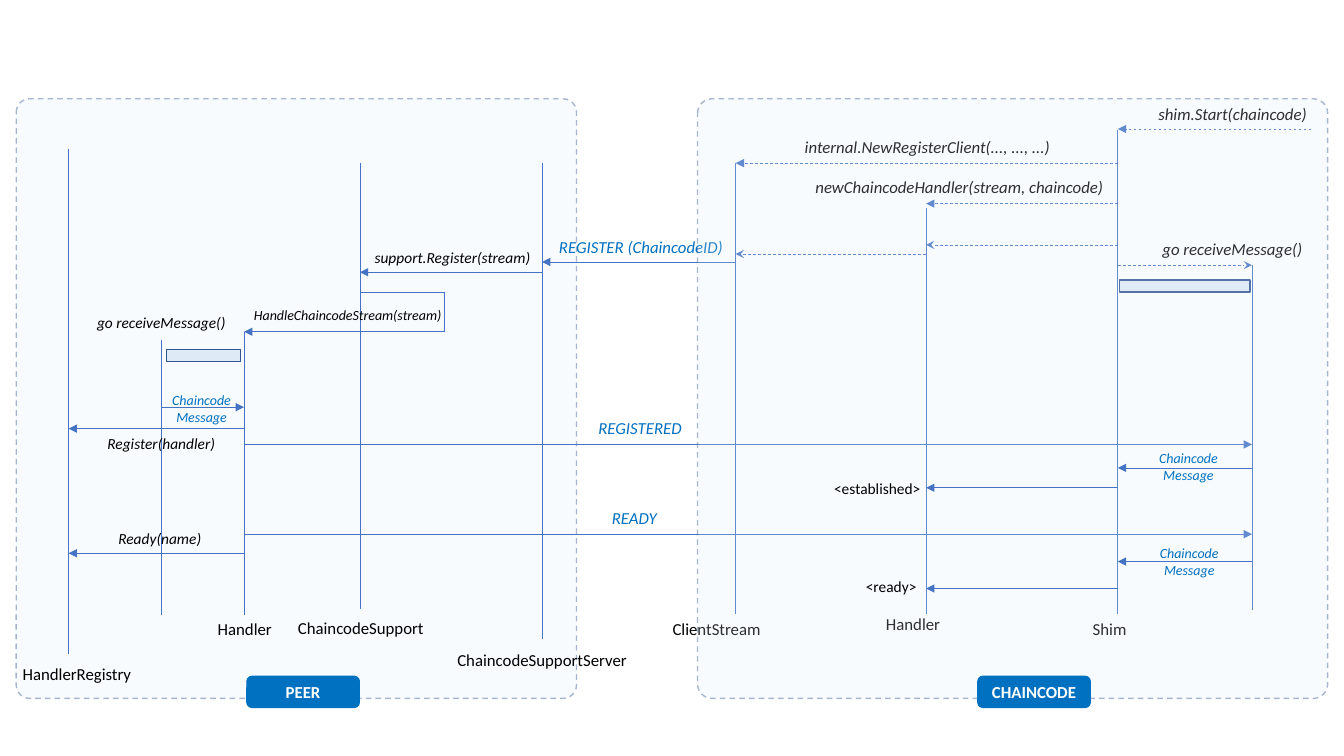
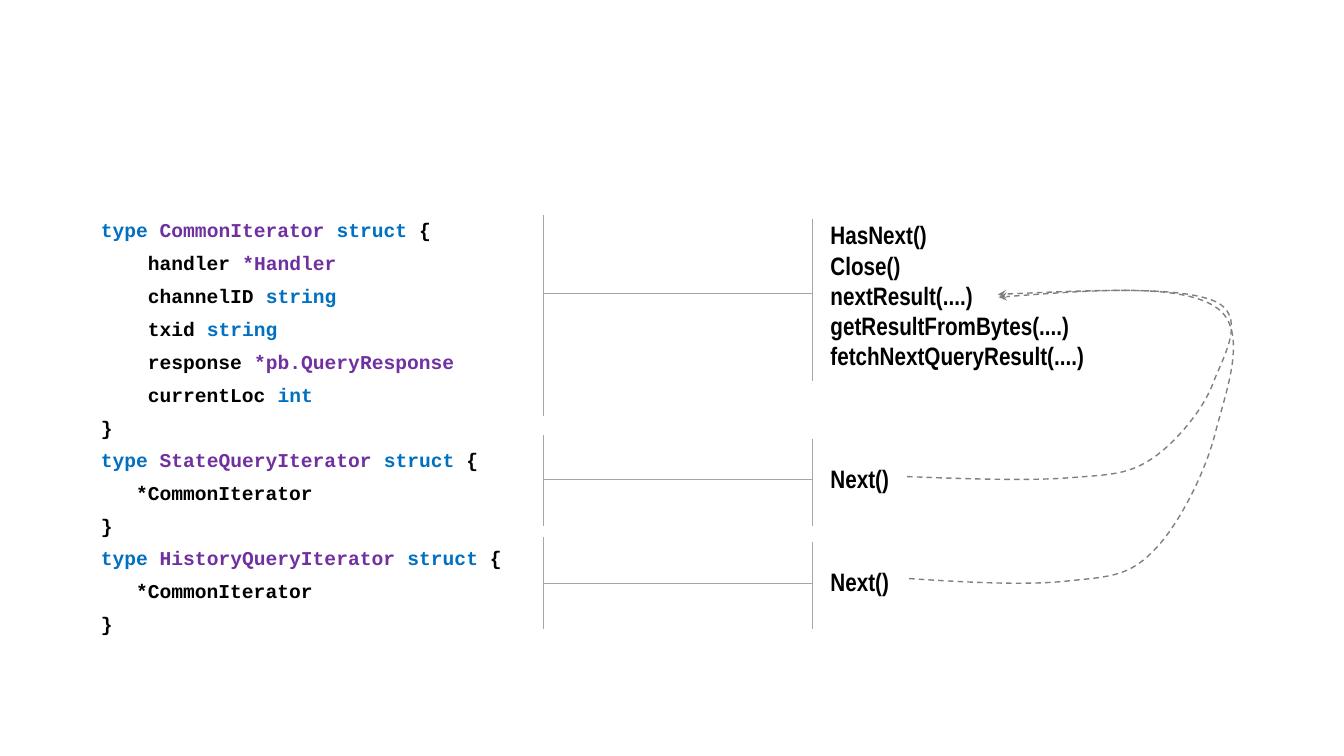
import dataclasses

import lxml.etree
import pptx
import pptx.dml.color
import pptx.enum.dml
import pptx.enum.shapes
import pptx.enum.text
import pptx.oxml.ns
import pptx.util

Cm = pptx.util.Cm
Pt = pptx.util.Pt
RGB = pptx.dml.color.RGBColor.from_string
qn = pptx.oxml.ns.qn
SHAPE = pptx.enum.shapes.MSO_SHAPE
CENTER = pptx.enum.text.PP_ALIGN.CENTER
LEFT = pptx.enum.text.PP_ALIGN.LEFT


@dataclasses.dataclass(frozen=True)
class Theme:
    black = RGB("000000")
    white = RGB("FFFFFF")
    blue = RGB("0070C0")
    purple = RGB("7030A0")
    message = RGB("4472C4")
    outline = RGB("325491")
    pale = RGB("DEEBF7")
    bracket = RGB("A6A6A6")
    curve = RGB("808080")
    font = "Calibri"
    code_font = "Courier New"
    method_font = "Arial Narrow"
    large = Pt(12)
    medium = Pt(11)
    small = Pt(10)
    code = Pt(14)
    method = Pt(18)
    hairline = Pt(0.5)
    border = Pt(1)


theme = Theme()


def style_line(shape, colour, width, arrow=None, dashed=False):
    """Set colour, weight, dash and arrowhead, and drop the shadow."""
    shape.line.color.rgb = colour
    shape.line.width = width
    if dashed:
        shape.line.dash_style = pptx.enum.dml.MSO_LINE.DASH
    properties = shape._element.spPr
    if arrow:
        lxml.etree.SubElement(properties.find(qn("a:ln")), qn("a:tailEnd"), type=arrow)
    if properties.find(qn("a:effectLst")) is None:
        lxml.etree.SubElement(properties, qn("a:effectLst"))


def add_label(slide, text, left, top, width, height, size, colour,
              italic=False, bold=False, font=theme.font, align=CENTER):
    """Add a text box that keeps its lines unwrapped."""
    box = slide.shapes.add_textbox(Cm(left), Cm(top), Cm(width), Cm(height))
    frame = box.text_frame
    frame.word_wrap = False
    frame.auto_size = pptx.enum.text.MSO_AUTO_SIZE.SHAPE_TO_FIT_TEXT
    frame.text = text
    for paragraph in frame.paragraphs:
        paragraph.alignment = align
        paragraph.font.name = font
        paragraph.font.size = size
        paragraph.font.color.rgb = colour
        paragraph.font.italic = italic
        paragraph.font.bold = bold


presentation = pptx.Presentation()
presentation.slide_width = Cm(33.87)
presentation.slide_height = Cm(19.05)
blank_layout = presentation.slide_layouts[6]

# Slide 1: sequence of messages between peer and chaincode
slide = presentation.slides.add_slide(blank_layout)

# Horizontal places of the lifelines
registry, peer_receiver, peer_handler = 1.73, 4.07, 6.15
support, server, stream = 9.07, 13.66, 18.54
chaincode_handler, shim, chaincode_receiver = 23.34, 28.17, 31.55
loop_right, loop_top, loop_bottom = 11.2, 7.37, 8.36

lifelines = [
    (registry, 3.76, 16.48), (peer_receiver, 8.56, 15.49),
    (peer_handler, loop_bottom, 15.49), (support, 4.11, 15.34),
    (server, 4.11, 16.1), (stream, 4.11, 15.47),
    (chaincode_handler, 5.23, 15.47), (shim, 3.28, 15.47),
    (chaincode_receiver, 6.68, 15.37), (loop_right, loop_top, loop_bottom),
]
# Messages: from, to, height, arrowhead, dashed
messages = [
    (33.05, shim, 3.25, "triangle", True),
    (shim, stream, 4.11, "triangle", True),
    (shim, chaincode_handler, 5.13, "triangle", True),
    (shim, chaincode_handler, 6.17, "stealth", True),
    (chaincode_handler, stream, 6.4, "stealth", True),
    (shim, chaincode_receiver, 6.68, "stealth", True),
    (stream, server, 6.6, "triangle", False),
    (server, support, 6.86, "triangle", False),
    (support, loop_right, loop_top, None, False),
    (loop_right, peer_handler, loop_bottom, "triangle", False),
    (peer_receiver, peer_handler, 10.26, "triangle", False),
    (peer_handler, registry, 10.8, "triangle", False),
    (peer_handler, chaincode_receiver, 11.2, "triangle", False),
    (peer_handler, chaincode_receiver, 13.46, "triangle", False),
    (peer_handler, registry, 13.94, "triangle", False),
]
front_messages = [
    (chaincode_receiver, shim, 11.79, "triangle", False),
    (shim, chaincode_handler, 12.29, "triangle", False),
    (chaincode_receiver, shim, 14.15, "triangle", False),
    (shim, chaincode_handler, 14.83, "triangle", False),
]
# Labels by style: size, colour, italic, then text, left, top, width
labels = [
    (theme.large, theme.black, False, [
        ("HandlerRegistry", 0.3, 16.59, 3.28),
        ("Handler", 5.23, 15.47, 1.88),
        ("ChaincodeSupport", 7.24, 15.44, 3.71),
        ("ChaincodeSupportServer", 11.25, 16.26, 4.83),
        ("ClientStream", 16.69, 15.47, 2.74),
        ("Handler", 22.07, 15.34, 1.88),
        ("Shim", 27.28, 15.47, 1.37),
    ]),
    (theme.large, theme.black, True, [
        ("shim.Start(chaincode)", 28.93, 2.49, 4.27),
        ("internal.NewRegisterClient(..., ..., ...)", 19.96, 3.33, 6.83),
        ("newChaincodeHandler(stream, chaincode)", 20.27, 4.34, 7.82),
        ("go receiveMessage()", 29.03, 5.89, 4.06),
    ]),
    (theme.large, theme.blue, True, [
        ("REGISTER (ChaincodeID)", 13.82, 5.84, 4.67),
        ("REGISTERED", 14.81, 10.41, 2.64),
        ("READY", 15.16, 12.67, 1.65),
    ]),
    (theme.medium, theme.black, True, [
        ("support.Register(stream)", 9.17, 6.12, 4.47),
        ("go receiveMessage()", 2.18, 7.77, 3.78),
        ("Register(handler)", 2.44, 10.82, 3.25),
        ("Ready(name)", 2.72, 13.21, 2.62),
    ]),
    (theme.small, theme.black, True, [
        ("HandleChaincodeStream(stream)", 6.12, 7.59, 5.28),
    ]),
]
front_labels = [
    (theme.small, theme.blue, True, [
        ("Chaincode\vMessage", 4.04, 9.75, 2.08),
        ("Chaincode\vMessage", 28.91, 11.2, 2.08),
        ("Chaincode\vMessage", 28.93, 13.59, 2.08),
    ]),
    (theme.medium, theme.black, False, [
        ("<established>", 20.75, 11.96, 2.72),
        ("<ready>", 21.56, 14.43, 1.8),
    ]),
]
# Layers from back to front; the chaincode panel veils what lies behind it
layers = [
    ((0.41, 14.12), lifelines, messages, [(4.19, 8.81, 1.88), (28.22, 7.06, 3.28)], labels),
    ((17.58, 15.88), [], front_messages, [], front_labels),
]
for (panel_left, panel_width), verticals, arrows, bars, label_styles in layers:
    panel = slide.shapes.add_shape(SHAPE.ROUNDED_RECTANGLE, Cm(panel_left), Cm(2.49),
                                   Cm(panel_width), Cm(15.11))
    panel.adjustments[0] = 0.024
    panel.fill.solid()
    panel.fill.fore_color.rgb = theme.pale
    style_line(panel, theme.outline, theme.border, dashed=True)
    for colour, opacity in zip(panel._element.spPr.iter(qn("a:srgbClr")), ("20000", "41000")):
        lxml.etree.SubElement(colour, qn("a:alpha"), val=opacity)

    segments = [(x, top, x, bottom, None, False) for x, top, bottom in verticals]
    segments += [(start, y, end, y, arrow, dashed) for start, end, y, arrow, dashed in arrows]
    for x1, y1, x2, y2, arrow, dashed in segments:
        connector = slide.shapes.add_connector(
            pptx.enum.shapes.MSO_CONNECTOR.STRAIGHT, Cm(x1), Cm(y1), Cm(x2), Cm(y2))
        style_line(connector, theme.message, theme.hairline, arrow, dashed)

    for left, top, width in bars:
        bar = slide.shapes.add_shape(SHAPE.RECTANGLE, Cm(left), Cm(top), Cm(width), Cm(0.3))
        bar.fill.solid()
        bar.fill.fore_color.rgb = theme.pale
        style_line(bar, theme.outline, theme.border)

    for size, colour, italic, entries in label_styles:
        for text, left, top, width in entries:
            height = 1.12 if "\v" in text else 0.76
            add_label(slide, text, left, top, width, height, size, colour, italic)

# Badges on the lower panel edges
for name, left in (("PEER", 6.22), ("CHAINCODE", 24.64)):
    badge = slide.shapes.add_shape(SHAPE.ROUNDED_RECTANGLE, Cm(left), Cm(17.04), Cm(2.84), Cm(0.79))
    badge.fill.solid()
    badge.fill.fore_color.rgb = theme.blue
    style_line(badge, theme.blue, Pt(0.75))
    frame = badge.text_frame
    frame.margin_top = frame.margin_bottom = Cm(0.1)
    frame.text = name
    paragraph = frame.paragraphs[0]
    paragraph.alignment = CENTER
    paragraph.font.name = theme.font
    paragraph.font.size = theme.large
    paragraph.font.bold = True
    paragraph.font.color.rgb = theme.white

# Slide 2: iterator types and their methods
slide = presentation.slides.add_slide(blank_layout)

# Type definitions: top, height, lines of coloured runs
key, name, plain = theme.blue, theme.purple, theme.black
embedded = [[("   *CommonIterator", plain)], [("}", plain)]]
definitions = [
    (5.36, 5.74, [
        [("type ", key), ("CommonIterator ", name), ("struct", key), (" {", plain)],
        [("    handler ", plain), ("*Handler", name)],
        [("    channelID ", plain), ("string", key)],
        [("    txid ", plain), ("string", key)],
        [("    response ", plain), ("*pb.QueryResponse", name)],
        [("    currentLoc ", plain), ("int", key)],
        [("}", plain)],
    ]),
    (11.15, 2.49, [
        [("type ", key), ("StateQueryIterator ", name), ("struct ", key), ("{", plain)],
        *embedded,
    ]),
    (13.62, 2.49, [
        [("type ", key), ("HistoryQueryIterator ", name), ("struct ", key), ("{", plain)],
        *embedded,
    ]),
]
for top, height, lines in definitions:
    box = slide.shapes.add_textbox(Cm(2.29), Cm(top), Cm(10.72), Cm(height))
    frame = box.text_frame
    frame.word_wrap = True
    for index, line in enumerate(lines):
        paragraph = frame.add_paragraph() if index else frame.paragraphs[0]
        paragraph.space_before = Pt(3 if index else 0)
        paragraph.space_after = Pt(3.8)
        paragraph.font.name = theme.code_font
        paragraph.font.size = theme.code
        paragraph.font.bold = True
        for text, colour in line:
            run = paragraph.add_run()
            run.text = text
            run.font.color.rgb = colour

# Methods of each type
common_methods = "\n".join(["HasNext()", "Close()", "nextResult(....)",
                            "getResultFromBytes(....)", "fetchNextQueryResult(....)"])
for text, top, width, height in ((common_methods, 5.41, 7.2, 4.11),
                                 ("Next()", 11.56, 2.26, 1.02),
                                 ("Next()", 14.15, 2.26, 1.02)):
    add_label(slide, text, 20.68, top, width, height, theme.method, theme.black,
              bold=True, font=theme.method_font, align=LEFT)

# Brackets joining types and methods: left span, right span, height of the bar
type_edge, method_edge = 13.69, 20.47
for left_span, right_span, middle in (((5.41, 10.49), (5.51, 9.6), 7.39),
                                      ((10.95, 13.26), (11.05, 13.26), 12.09),
                                      ((13.54, 15.85), (13.67, 15.85), 14.71)):
    for x1, y1, x2, y2 in ((type_edge, middle, method_edge, middle),
                           (type_edge, left_span[0], type_edge, left_span[1]),
                           (method_edge, right_span[0], method_edge, right_span[1])):
        connector = slide.shapes.add_connector(
            pptx.enum.shapes.MSO_CONNECTOR.STRAIGHT, Cm(x1), Cm(y1), Cm(x2), Cm(y2))
        style_line(connector, theme.bracket, theme.hairline)

# Curved arrows from Next() to nextResult(): a start, then three points per Bézier arc
curves = [
    [(22.86, 12.01), (24.38, 12.07), (25.93, 12.12), (26.95, 12.04),
     (27.99, 11.96), (28.42, 11.96), (29.03, 11.56), (29.64, 11.15),
     (30.35, 10.29), (30.58, 9.63), (30.84, 8.97), (31.47, 7.92),
     (30.56, 7.57), (29.64, 7.21), (27.38, 7.32), (25.15, 7.42)],
    [(22.91, 14.58), (24.43, 14.68), (25.96, 14.76), (27, 14.63),
     (28.02, 14.53), (28.47, 14.5), (29.08, 13.87), (29.69, 13.26),
     (30.38, 11.91), (30.63, 10.9), (30.89, 9.86), (31.52, 8.28),
     (30.61, 7.72), (29.69, 7.14), (27.43, 7.32), (25.17, 7.49)],
]
for points in curves:
    start, *controls = [(Cm(x), Cm(y)) for x, y in points]
    builder = slide.shapes.build_freeform(*start)
    builder.add_line_segments(controls, close=False)
    curve = builder.convert_to_shape()
    curve.fill.background()
    style_line(curve, theme.curve, theme.border, "stealth", dashed=True)
    outline = next(curve._element.iter(qn("a:path")))
    steps = outline.findall(qn("a:lnTo"))
    for first in range(0, len(steps), 3):
        arc = lxml.etree.SubElement(outline, qn("a:cubicBezTo"))
        for step in steps[first:first + 3]:
            arc.append(step[0])
            outline.remove(step)

presentation.save("out.pptx")
